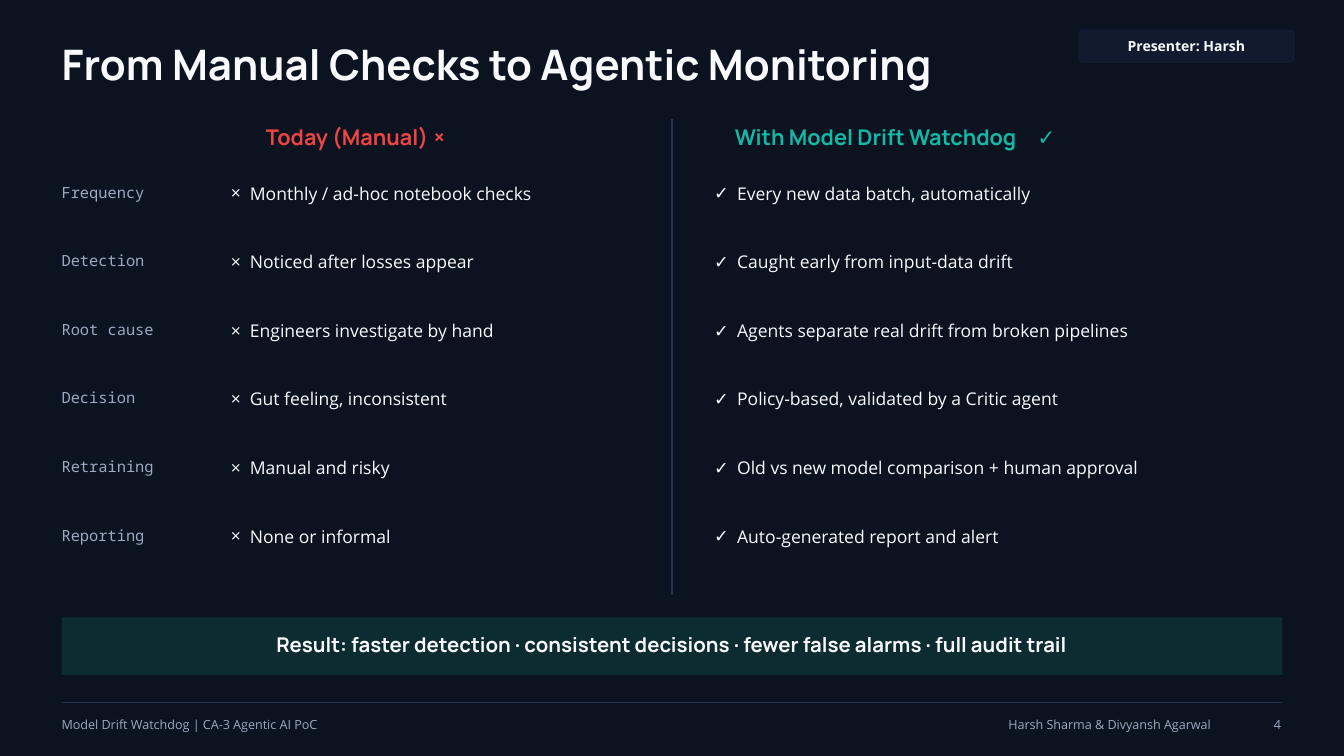
"""Build the slide comparing manual checks with agentic monitoring."""
from dataclasses import dataclass

from lxml.etree import SubElement
from pptx import Presentation
from pptx.dml.color import RGBColor
from pptx.enum.shapes import MSO_CONNECTOR as Connector, MSO_SHAPE as Preset
from pptx.enum.text import MSO_ANCHOR as Anchor, MSO_AUTO_SIZE as AutoSize, PP_ALIGN as Align
from pptx.oxml.ns import qn
from pptx.slide import Slide
from pptx.util import Pt

PX = 9525
PT_PER_PX = 0.75
NIGHT = RGBColor(0x0B, 0x12, 0x20)
NAVY = RGBColor(0x11, 0x1A, 0x2E)
PINE = RGBColor(0x0D, 0x2C, 0x31)
RULE = RGBColor(0x26, 0x34, 0x4F)
WHITE = RGBColor(0xF8, 0xFA, 0xFC)
MUTED = RGBColor(0x9C, 0xAA, 0xC0)
RED = RGBColor(0xEF, 0x44, 0x44)
TEAL = RGBColor(0x14, 0xB8, 0xA6)

LEFT, RIGHT, MIDDLE = 88, 1832, 960
ROW_STEP = 98
FOOTER_TOP = 1021

ROWS = [
    ("Frequency", "Monthly / ad-hoc notebook checks", "Every new data batch, automatically"),
    ("Detection", "Noticed after losses appear", "Caught early from input-data drift"),
    ("Root cause", "Engineers investigate by hand", "Agents separate real drift from broken pipelines"),
    ("Decision", "Gut feeling, inconsistent", "Policy-based, validated by a Critic agent"),
    ("Retraining", "Manual and risky", "Old vs new model comparison + human approval"),
    ("Reporting", "None or informal", "Auto-generated report and alert"),
]


@dataclass(frozen=True)
class TextStyle:
    """Font, size, line height, colour and weight of a text."""
    font: str
    size: float
    line: float
    color: RGBColor = WHITE
    bold: bool = False


TITLE = TextStyle("Manrope", 45, 47.2, bold=True)
TODAY = TextStyle("Manrope", 23.2, 24.4, RED, True)
WATCHDOG = TextStyle("Manrope", 23.2, 24.4, TEAL, True)
LABEL = TextStyle("Noto Sans Mono", 16.5, 20.6, MUTED)
ITEM = TextStyle("Open Sans", 18.8, 25.3)
RESULT = TextStyle("Manrope", 21.8, 22.8, bold=True)
BADGE = TextStyle("Open Sans", 15, 21, bold=True)
FOOTER = TextStyle("Open Sans", 13.5, 18.2, MUTED)


class SlideBuilder:
    """Draws styled elements on one slide, with lengths in px."""

    def __init__(self, slide: Slide):
        self.slide = slide
        fill = slide.background.fill
        fill.solid()
        fill.fore_color.rgb = NIGHT

    def set_lines(self, shape, lines, style, align=Align.LEFT, anchor=Anchor.TOP,
                  mark=None, indent=0, tab=None, lift=0):
        """Fill a shape with evenly spaced lines of text."""
        frame = shape.text_frame
        frame.auto_size = AutoSize.NONE
        frame.word_wrap = True
        frame.vertical_anchor = anchor
        frame.margin_left = frame.margin_right = frame.margin_top = 0
        frame.margin_bottom = 2 * lift * PX
        for index, line in enumerate(lines):
            paragraph = frame.add_paragraph() if index else frame.paragraphs[0]
            properties = paragraph._p.get_or_add_pPr()
            if mark:
                properties.set("marL", str(indent * PX))
                properties.set("indent", str(-indent * PX))
                SubElement(properties, qn("a:buFont"), typeface=style.font)
                SubElement(properties, qn("a:buChar"), char=mark)
            if tab:
                tabs = SubElement(properties, qn("a:tabLst"))
                SubElement(tabs, qn("a:tab"), pos=str(tab * PX), algn="l")
            paragraph.alignment = align
            paragraph.line_spacing = Pt(style.line)
            paragraph.space_before = Pt(ROW_STEP * PT_PER_PX - style.line if index else 0)
            run = paragraph.add_run()
            run.text = line
            run.font.name = style.font
            run.font.size = Pt(style.size)
            run.font.bold = style.bold
            run.font.color.rgb = style.color

    def placeholder(self, index, box, lines, style, **options):
        """Move a layout placeholder and set its text."""
        shape = self.slide.placeholders[index]
        shape.left, shape.top, shape.width, shape.height = (length * PX for length in box)
        self.set_lines(shape, lines, style, **options)

    def text(self, box, lines, style, **options):
        """Add a text box."""
        shape = self.slide.shapes.add_textbox(*(length * PX for length in box))
        self.set_lines(shape, lines, style, **options)

    def panel(self, preset, box, color, line, style, lift=0):
        """Add a filled shape with centred text."""
        shape = self.slide.shapes.add_shape(preset, *(length * PX for length in box))
        shape.shadow.inherit = False
        shape.fill.solid()
        shape.fill.fore_color.rgb = color
        shape.line.fill.background()
        self.set_lines(shape, [line], style, align=Align.CENTER, anchor=Anchor.MIDDLE, lift=lift)
        return shape

    def rule(self, start, end, width):
        """Add a thin straight line."""
        points = (length * PX for length in (*start, *end))
        connector = self.slide.shapes.add_connector(Connector.STRAIGHT, *points)
        connector.line.color.rgb = RULE
        connector.line.width = Pt(width)
        SubElement(connector._element.spPr, qn("a:effectLst"))


def main():
    """Lay out the comparison and save it."""
    presentation = Presentation()
    presentation.slide_width, presentation.slide_height = 1920 * PX, 1080 * PX
    comparison = presentation.slide_layouts.get_by_name("Comparison")
    builder = SlideBuilder(presentation.slides.add_slide(comparison))
    labels, manual, agentic = zip(*ROWS)
    list_height = ROW_STEP * len(ROWS)

    builder.placeholder(0, (LEFT, 64, 1450, 70), ["From Manual Checks to Agentic Monitoring"], TITLE)
    builder.placeholder(1, (380, 182, 500, 35), ["Today (Manual)\t×"], TODAY, tab=244)
    builder.placeholder(3, (1050, 182, 650, 35), ["With Model Drift Watchdog\t✓"], WATCHDOG, tab=418)
    builder.rule((MIDDLE, 170), (MIDDLE, 850), 1.5)

    builder.text((LEFT, 260, 220, list_height), labels, LABEL)
    builder.placeholder(2, (330, 257, 590, list_height), manual, ITEM, mark="×", indent=27)
    builder.placeholder(4, (1020, 257, 720, list_height), agentic, ITEM, mark="✓", indent=33)

    builder.panel(Preset.RECTANGLE, (LEFT, 882, RIGHT - LEFT, 82), PINE,
                  "Result: faster detection · consistent decisions · fewer false alarms · full audit trail",
                  RESULT)
    badge = builder.panel(Preset.ROUNDED_RECTANGLE, (1540, 42, 310, 48), NAVY,
                          "Presenter: Harsh", BADGE, lift=2)
    badge.adjustments[0] = 0.14

    builder.rule((LEFT, 1004), (RIGHT, 1004), 0.75)
    builder.text((LEFT, FOOTER_TOP, 650, 24), ["Model Drift Watchdog | CA-3 Agentic AI PoC"], FOOTER)
    builder.text((1250, FOOTER_TOP, 480, 24), ["Harsh Sharma & Divyansh Agarwal"], FOOTER, align=Align.RIGHT)
    builder.text((1770, FOOTER_TOP, 60, 24), ["4"], FOOTER, align=Align.RIGHT)
    presentation.save("out.pptx")


if __name__ == "__main__":
    main()
